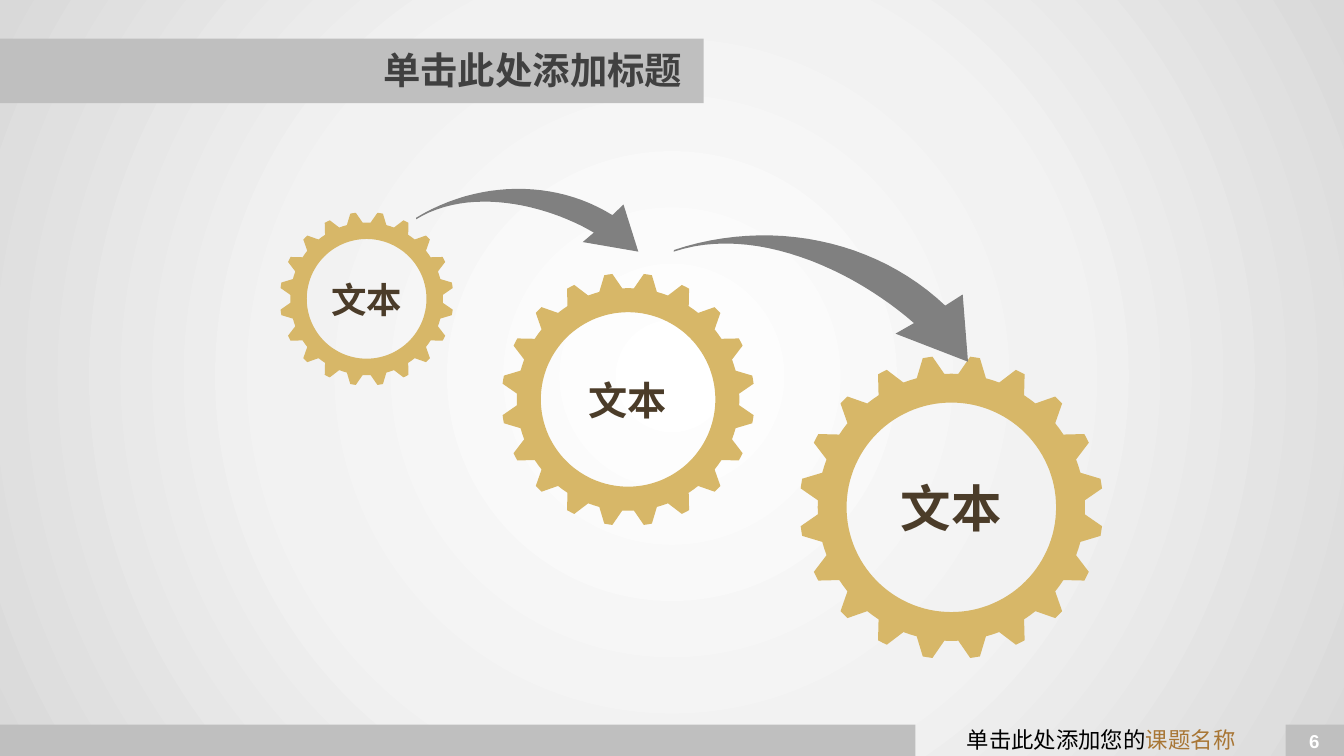
"""Build a slide of three growing gears joined by curved arrows."""
import math
from dataclasses import dataclass

import lxml.etree
import pptx
import pptx.dml.color
import pptx.enum.shapes
import pptx.enum.text
import pptx.oxml
import pptx.oxml.ns
import pptx.util

Cm = pptx.util.Cm
Align = pptx.enum.text.PP_ALIGN
Point = tuple[float, float]


@dataclass(frozen=True)
class Theme:
    font: str = "Arial"
    band: str = "BFBFBF"
    gear: str = "D7B768"
    arrow: str = "808080"
    title: str = "404040"
    label: str = "4B3C29"
    footer: str = "000000"
    accent: str = "A87635"
    number: str = "FFFFFF"
    backdrop: tuple[tuple[int, str], ...] = ((0, "FFFFFF"), (51, "F2F2F2"), (100, "D9D9D9"))
    title_size: float = 20
    footer_size: float = 12
    number_size: float = 10


@dataclass(frozen=True)
class Area:
    left: float
    top: float
    width: float
    height: float

    def lengths(self) -> list[pptx.util.Length]:
        return [Cm(value) for value in (self.left, self.top, self.width, self.height)]


@dataclass(frozen=True)
class Span:
    text: str
    size: float
    color: str
    bold: bool = False


@dataclass(frozen=True)
class Gear:
    x: float
    y: float
    radius: float
    text_size: float
    text_width: float
    text_height: float


@dataclass(frozen=True)
class Arrow:
    center: Point
    rotation: float
    upper: tuple[Point, ...]
    head: tuple[Point, ...]
    lower: tuple[Point, ...]


THEME = Theme()
TEETH = 20
VALLEY_RATIO, HOLE_RATIO = 0.88, 0.69
TIP_ANGLE, VALLEY_ANGLE = 1.85, 3

BANDS = [Area(0, 0.73, 13.3, 1.22), Area(0, 13.7, 17.3, 0.59), Area(24.3, 13.7, 1.1, 0.59)]
GEARS = [
    Gear(6.93, 5.65, 1.64, 19, 2.24, 1.14),
    Gear(11.87, 7.55, 2.39, 21, 2.24, 1.24),
    Gear(17.98, 9.59, 2.87, 27, 3, 1.5),
]
ARROWS = [
    Arrow((10.08, 4.33), 322,
          ((7.87, 4.11), (9.04, 3.4), (10.49, 3.38), (11.58, 4.06)),
          ((11.79, 3.86), (12.07, 4.75), (11.02, 4.57)),
          ((11.23, 4.39), (10.29, 3.84), (8.86, 3.53), (7.87, 4.14))),
    Arrow((15.7, 5.69), 334.1,
          ((12.73, 4.72), (14.55, 4.11), (16.54, 4.52), (17.86, 5.77)),
          ((18.19, 5.56), (18.29, 6.83), (16.92, 6.3)),
          ((17.27, 6.1), (16.1, 5.08), (14.25, 4.24), (12.73, 4.75))),
]


def rgb(color: str) -> pptx.dml.color.RGBColor:
    return pptx.dml.color.RGBColor.from_string(color)


def paint(shape, color: str) -> None:
    shape.shadow.inherit = False
    shape.fill.solid()
    shape.fill.fore_color.rgb = rgb(color)
    shape.line.fill.background()


def draw_rectangle(page, area: Area, color: str):
    shape = page.shapes.add_shape(pptx.enum.shapes.MSO_SHAPE.RECTANGLE, *area.lengths())
    paint(shape, color)
    return shape


def draw_backdrop(page) -> None:
    shape = draw_rectangle(page, Area(0, -0.08, 25.4, 14.38), THEME.number)
    stops = "".join(f'<a:gs pos="{place * 1000}"><a:srgbClr val="{color}"/></a:gs>'
                    for place, color in THEME.backdrop)
    gradient = pptx.oxml.parse_xml(
        f'<a:gradFill {pptx.oxml.ns.nsdecls("a")} rotWithShape="1"><a:gsLst>{stops}</a:gsLst>'
        '<a:path path="circle"><a:fillToRect l="50000" t="50000" r="50000" b="50000"/></a:path>'
        '</a:gradFill>')
    solid = shape.element.spPr.find(pptx.oxml.ns.qn("a:solidFill"))
    solid.getparent().replace(solid, gradient)


def write(frame, spans: list[Span], align: Align) -> None:
    para = frame.paragraphs[0]
    para.alignment = align
    for span in spans:
        run = para.add_run()
        run.text = span.text
        run.font.name = THEME.font
        run.font.size = pptx.util.Pt(span.size)
        run.font.bold = span.bold
        run.font.color.rgb = rgb(span.color)


def draw_text(page, area: Area, spans: list[Span], wrap: bool = True) -> None:
    frame = page.shapes.add_textbox(*area.lengths()).text_frame
    frame.word_wrap = wrap
    frame.auto_size = pptx.enum.text.MSO_AUTO_SIZE.SHAPE_TO_FIT_TEXT
    frame.margin_left = frame.margin_right = Cm(0.33)
    frame.margin_top = frame.margin_bottom = Cm(0.18)
    write(frame, spans, Align.CENTER)


def draw_title(page, area: Area, span: Span) -> None:
    title = page.shapes.title
    title.left, title.top, title.width, title.height = area.lengths()
    title.text_frame.auto_size = pptx.enum.text.MSO_AUTO_SIZE.NONE
    title.text_frame.vertical_anchor = pptx.enum.text.MSO_ANCHOR.MIDDLE
    write(title.text_frame, [span], Align.RIGHT)
    title.element.getparent().append(title.element)


def draw_outline(page, contours: list[list[Point]], color: str):
    scaled = [[(Cm(x), Cm(y)) for x, y in contour] for contour in contours]
    builder = page.shapes.build_freeform(*scaled[0][0])
    builder.add_line_segments(scaled[0][1:], close=True)
    for contour in scaled[1:]:
        builder.move_to(*contour[0])
        builder.add_line_segments(contour[1:], close=True)
    shape = builder.convert_to_shape()
    paint(shape, color)
    return shape


def draw_gear(page, gear: Gear) -> None:
    def polar(radius: float, degrees: float) -> Point:
        angle = math.radians(degrees)
        return gear.x + radius * math.sin(angle), gear.y - radius * math.cos(angle)

    step = 360 / TEETH
    rim = []
    for tooth in range(TEETH):
        valley = tooth * step
        tip = valley + step / 2
        rim += [polar(gear.radius * VALLEY_RATIO, valley + turn)
                for turn in (-VALLEY_ANGLE, 0, VALLEY_ANGLE)]
        rim += [polar(gear.radius, tip + turn) for turn in (-TIP_ANGLE, 0, TIP_ANGLE)]
    hole = [polar(gear.radius * HOLE_RATIO, -degrees) for degrees in range(0, 360, 3)]
    draw_outline(page, [rim, hole], THEME.gear)


def curve(controls: tuple[Point, ...], steps: int = 24) -> list[Point]:
    points = []
    for index in range(steps + 1):
        t = index / steps
        weights = [math.comb(3, k) * t**k * (1 - t)**(3 - k) for k in range(4)]
        points.append(tuple(sum(w * p[axis] for w, p in zip(weights, controls))
                            for axis in (0, 1)))
    return points


def draw_arrow(page, arrow: Arrow) -> None:
    angle = math.radians(-arrow.rotation)
    cos, sin = math.cos(angle), math.sin(angle)
    cx, cy = arrow.center
    outline = [(cx + (x - cx) * cos - (y - cy) * sin, cy + (x - cx) * sin + (y - cy) * cos)
               for x, y in [*curve(arrow.upper), *arrow.head, *curve(arrow.lower)]]
    draw_outline(page, [outline], THEME.arrow).rotation = arrow.rotation


def main() -> None:
    deck = pptx.Presentation()
    deck.slide_width, deck.slide_height = Cm(25.4), Cm(14.29)
    page = deck.slides.add_slide(deck.slide_layouts[5])
    draw_backdrop(page)
    for band in BANDS:
        draw_rectangle(page, band, THEME.band)
    draw_text(page, Area(24.28, 13.61, 1.12, 0.76),
              [Span("6", THEME.number_size, THEME.number, True)], wrap=False)
    draw_text(page, Area(17.32, 13.54, 6.98, 0.86),
              [Span("单击此处添加您的", THEME.footer_size, THEME.footer),
               Span("课题名称", THEME.footer_size, THEME.accent)])
    draw_title(page, Area(1.9, 0.61, 11.25, 1.4),
               Span("单击此处添加标题", THEME.title_size, THEME.title, True))
    for gear in GEARS:
        draw_gear(page, gear)
    for arrow in ARROWS:
        draw_arrow(page, arrow)
    for gear in GEARS:
        area = Area(gear.x - gear.text_width / 2, gear.y - gear.text_height / 2,
                    gear.text_width, gear.text_height)
        draw_text(page, area, [Span("文本", gear.text_size, THEME.label, True)])
    deck.save("out.pptx")


if __name__ == "__main__":
    main()
